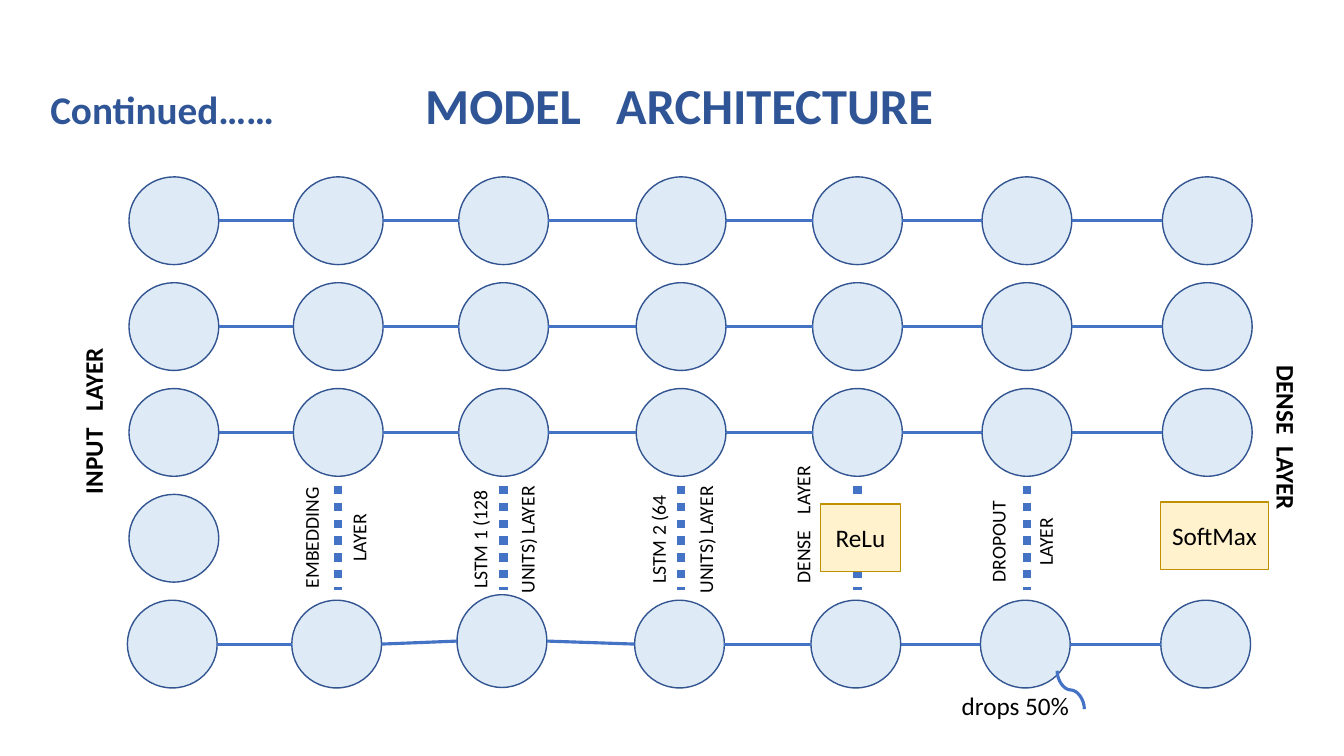
from lxml.etree import SubElement
from pptx import Presentation
from pptx.dml.color import RGBColor
from pptx.enum.dml import MSO_LINE
from pptx.enum.shapes import MSO_CONNECTOR, MSO_SHAPE
from pptx.enum.text import MSO_ANCHOR, PP_ALIGN
from pptx.oxml.ns import qn
from pptx.util import Inches, Pt

WIDTH, HEIGHT = Inches(13.33), Inches(7.5)
COLORS = {
    "title": "2F5597",
    "text": "000000",
    "neuron": "DEEBF7",
    "neuron_edge": "325491",
    "link": "4472C4",
    "activation": "FFF2CC",
    "activation_edge": "BF9000",
}

LAYERS = [12.94, 25.17, 37.47, 50.68, 63.8, 76.41, 89.83]
FIRST_ROW, ROW_STEP = 29.2, 14
NEURON_W, NEURON_H = 6.68, 11.6
LAST_ROW, LSTM_1 = 4, 2
LAST_ROW_SHIFT = -0.12


def across(percent):
    return round(WIDTH * percent / 100)


def down(percent):
    return round(HEIGHT * percent / 100)


def centred(x, y, w, h):
    return across(x - w / 2), down(y - h / 2), across(w), down(h)


def color(name):
    return RGBColor.from_string(COLORS[name])


def style_text(paragraph, size, tint="text", bold=False, tabs=()):
    if tabs:
        stops = SubElement(paragraph._p.get_or_add_pPr(), qn("a:tabLst"))
        for stop in tabs:
            SubElement(stops, qn("a:tab"), pos=str(across(stop)), algn="l")
    font = paragraph.font
    font.name, font.size, font.bold = "Calibri", Pt(size), bold
    font.color.rgb = color(tint)


def add_label(slide, place, lines, size, rotation=0, align=PP_ALIGN.LEFT,
              tint="text", bold=False, tabs=()):
    label = slide.shapes.add_textbox(*centred(*place))
    label.rotation = rotation
    frame = label.text_frame
    frame.word_wrap = True
    for index, line in enumerate(lines):
        paragraph = frame.add_paragraph() if index else frame.paragraphs[0]
        paragraph.alignment = align
        if index:
            paragraph.space_before = Pt(17)
        style_text(paragraph, size, tint, bold, tabs)
        paragraph.text = line
    return frame


def add_block(slide, preset, place, fill, edge):
    block = slide.shapes.add_shape(preset, *centred(*place))
    block.shadow.inherit = False
    block.fill.solid()
    block.fill.fore_color.rgb = color(fill)
    block.line.color.rgb = color(edge)
    block.line.width = Pt(1)
    return block


def add_activation(slide, place, name):
    block = add_block(slide, MSO_SHAPE.RECTANGLE, place, "activation", "activation_edge")
    frame = block.text_frame
    frame.vertical_anchor = MSO_ANCHOR.MIDDLE
    paragraph = frame.paragraphs[0]
    paragraph.alignment = PP_ALIGN.CENTER
    style_text(paragraph, 18)
    paragraph.text = name


def add_link(slide, start, end, width=2.25, kind=MSO_CONNECTOR.STRAIGHT):
    link = slide.shapes.add_connector(
        kind, across(start[0]), down(start[1]), across(end[0]), down(end[1]))
    link.line.color.rgb = color("link")
    link.line.width = Pt(width)
    SubElement(link.element.spPr, qn("a:effectLst"))
    return link


def neuron_place(layer, row):
    x, y, h = LAYERS[layer], FIRST_ROW + row * ROW_STEP, NEURON_H
    if row == LAST_ROW:
        x += LAST_ROW_SHIFT
        if layer == LSTM_1:
            y, h = 84.8, 12.27
    return x, y, NEURON_W, h


def add_network(slide):
    for layer in range(len(LAYERS)):
        for row in range(LAST_ROW + 1):
            if row == 3 and layer > 0:
                continue
            place = neuron_place(layer, row)
            add_block(slide, MSO_SHAPE.OVAL, place, "neuron", "neuron_edge")
            if layer > 0:
                before = neuron_place(layer - 1, row)
                add_link(slide, (before[0] + NEURON_W / 2, before[1]),
                         (place[0] - NEURON_W / 2, place[1]))
    for x in LAYERS[1:-1]:
        dots = add_link(slide, (x, 64.27), (x, 78), 6)
        dots.line.dash_style = MSO_LINE.ROUND_DOT


def add_dropout_note(slide):
    curve = add_link(slide, (81.1, 89.47), (78.24, 93.07), kind=MSO_CONNECTOR.CURVE)
    curve.element.spPr.xfrm.set("rot", str(270 * 60000))
    add_label(slide, (76.26, 93.33, 10.88, 5.33), ["drops 50%"], 18)


def add_title(slide):
    frame = add_label(slide, (50, 13.93, 94, 9.47), ["Continued……"], 28,
                      tint="title", bold=True, tabs=(27.9, 42.1))
    heading = frame.paragraphs[0].add_run()
    heading.text = "\tMODEL\tARCHITECTURE"
    heading.font.size = Pt(36)


def main():
    deck = Presentation()
    deck.slide_width, deck.slide_height = WIDTH, HEIGHT
    slide = deck.slides.add_slide(deck.slide_layouts[6])
    add_title(slide)
    add_network(slide)

    add_label(slide, (6.9, 53.47, 14.85, 5.33), ["INPUT\tLAYER"], 18, 270,
              bold=True, tabs=(6.15,))
    add_label(slide, (95.72, 60.27, 14.85, 5.33), ["DENSE\tLAYER"], 18, 90,
              bold=True, tabs=(6,))
    dense = add_label(slide, (59.75, 69.87, 14.63, 4.53), ["DENSE\tLAYER"], 14, 270,
                      tabs=(5.18,))
    dense.margin_left = across(3.19)
    dense.margin_right = 0
    for x, y, lines in [
        (24.94, 71.13, ["EMBEDDING", "LAYER"]),
        (37.47, 71.4, ["LSTM 1 (128", "UNITS) LAYER"]),
        (50.75, 71.4, ["LSTM 2 (64", "UNITS) LAYER"]),
        (76.03, 71.67, ["DROPOUT", "LAYER"]),
    ]:
        add_label(slide, (x, y, 12.23, 10.8), lines, 14, 270, PP_ALIGN.CENTER)

    add_dropout_note(slide)
    add_activation(slide, (64.03, 71.13, 5.93, 8.93), "ReLu")
    add_activation(slide, (90.36, 70.87, 8.03, 8.93), "SoftMax")
    deck.save("out.pptx")


if __name__ == "__main__":
    main()
